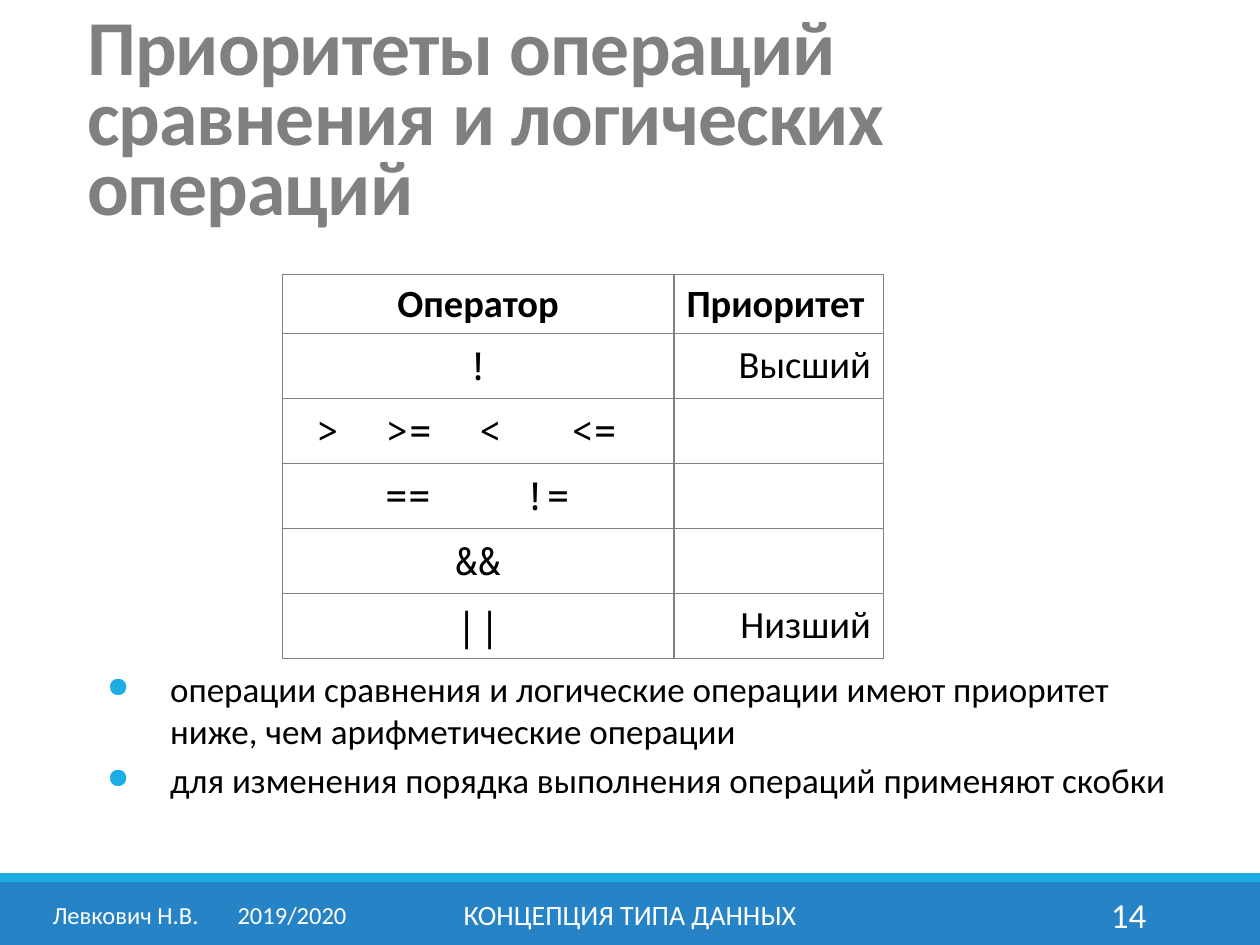
from dataclasses import dataclass

from lxml.etree import SubElement
from pptx import Presentation
from pptx.dml.color import RGBColor
from pptx.enum.shapes import MSO_SHAPE
from pptx.enum.text import MSO_ANCHOR, MSO_AUTO_SIZE, PP_ALIGN
from pptx.oxml.ns import qn
from pptx.util import Cm, Pt

BLUE = RGBColor(0x26, 0x83, 0xC6)
CYAN = RGBColor(0x1C, 0xAD, 0xE4)
GRAY = RGBColor(0x80, 0x80, 0x80)
WHITE = RGBColor(0xFF, 0xFF, 0xFF)
BLACK = RGBColor(0, 0, 0)
SANS, MONO = "Calibri", "Noto Sans Mono"
CELL_MARGIN = 0.25
MONO_ADVANCE = 0.466  # width of one 22 pt monospaced character, cm


@dataclass
class Priority:
    """One table row; stops are character columns of tabbed operators."""
    operators: str
    level: str = ""
    indent: float = 0
    stops: tuple[int, ...] = ()


@dataclass
class FooterItem:
    """One text in the footer bar."""
    text: str
    left: float
    width: float
    size: int
    align: PP_ALIGN
    stops: tuple[float, ...] = ()


PRIORITIES = [
    Priority("!", "Высший"),
    Priority(">\t>=\t<\t<=", indent=0.44, stops=(3, 7, 11)),
    Priority("==\t!=", indent=1.82, stops=(6,)),
    Priority("&&"),
    Priority("||", "Низший"),
]
RULES = [
    "операции сравнения и логические операции имеют приоритет ниже, "
    "чем арифметические операции",
    "для изменения порядка выполнения операций применяют скобки",
]
FOOTER = [
    FooterItem("КОНЦЕПЦИЯ ТИПА ДАННЫХ", 7.67, 10.06, 16, PP_ALIGN.CENTER),
    FooterItem("14", 20.62, 2.74, 20, PP_ALIGN.RIGHT),
    FooterItem("Левкович Н.В.\t2019/2020", 0.81, 6.63, 14, PP_ALIGN.LEFT, (3.73,)),
]


def write(paragraph, text: str, *, size: float, color=BLACK, font=SANS,
          bold=False, align=PP_ALIGN.LEFT, stops=()) -> None:
    """Write formatted text into a paragraph, with tab stops in cm."""
    paragraph.alignment = align
    if stops:
        tabs = SubElement(paragraph._p.get_or_add_pPr(), qn("a:tabLst"))
        for stop in stops:
            SubElement(tabs, qn("a:tab"), pos=str(Cm(stop)), algn="l")
    paragraph.text = text
    for run in paragraph.runs:
        run.font.name, run.font.size, run.font.bold = font, Pt(size), bold
        run.font.color.rgb = color


def add_bar(slide, top: float, height: float, color: RGBColor) -> None:
    """Draw a full-width bar."""
    bar = slide.shapes.add_shape(MSO_SHAPE.RECTANGLE, 0, Cm(top), Cm(25.4), Cm(height))
    bar.shadow.inherit = False
    bar.fill.solid()
    bar.fill.fore_color.rgb = color
    bar.line.fill.background()


def add_frame(slide, left: float, top: float, width: float, height: float):
    """Add a wrapping text box and return its text frame."""
    frame = slide.shapes.add_textbox(Cm(left), Cm(top), Cm(width), Cm(height)).text_frame
    frame.word_wrap = True
    return frame


def add_footer(slide) -> None:
    """Draw the footer bars and their texts."""
    add_bar(slide, 17.78, 1.27, BLUE)
    add_bar(slide, 17.6, 0.18, CYAN)
    for item in FOOTER:
        frame = add_frame(slide, item.left, 17.93, item.width, 1.02)
        frame.vertical_anchor = MSO_ANCHOR.MIDDLE
        write(frame.paragraphs[0], item.text, size=item.size, color=WHITE,
              align=item.align, stops=item.stops)


def format_title(slide) -> None:
    """Place and fill the title placeholder."""
    title = slide.shapes.title
    title.left, title.top, title.width, title.height = Cm(1.5), Cm(0.91), Cm(22.66), Cm(3.2)
    frame = title.text_frame
    frame.auto_size = MSO_AUTO_SIZE.NONE
    frame.vertical_anchor = MSO_ANCHOR.MIDDLE
    heading = frame.paragraphs[0]
    write(heading, "Приоритеты операций сравнения и логических операций",
          size=44.4, color=GRAY, bold=True)
    heading.line_spacing = 0.75
    heading.space_before = Pt(0)
    heading.runs[0].font._element.set("spc", "-50")


def fill_cell(cell, text: str, *, indent: float = 0, **style) -> None:
    """Give a cell its borders, fill and text."""
    properties = cell._tc.get_or_add_tcPr()
    for side in ("lnL", "lnR", "lnT", "lnB"):
        line = SubElement(properties, qn(f"a:{side}"), w=str(Pt(1)))
        solid = SubElement(line, qn("a:solidFill"))
        SubElement(solid, qn("a:srgbClr"), val=str(GRAY))
    cell.fill.solid()
    cell.fill.fore_color.rgb = WHITE
    cell.vertical_anchor = MSO_ANCHOR.MIDDLE
    cell.margin_left = Cm(CELL_MARGIN + indent)
    if text:
        write(cell.text_frame.paragraphs[0], text, size=22, **style)


def add_priorities(slide) -> None:
    """Build the operator priority table."""
    table = slide.shapes.add_table(len(PRIORITIES) + 1, 2, Cm(5.69), Cm(5.53),
                                   Cm(12.12), Cm(7.74)).table
    table.first_row = table.horz_banding = False
    table.columns[0].width, table.columns[1].width = Cm(7.9), Cm(4.22)
    table.rows[0].height = Cm(1.19)
    fill_cell(table.cell(0, 0), "Оператор", bold=True, align=PP_ALIGN.CENTER)
    fill_cell(table.cell(0, 1), "Приоритет", bold=True)
    for row, priority in enumerate(PRIORITIES, start=1):
        table.rows[row].height = Cm(1.31)
        align = PP_ALIGN.LEFT if priority.stops else PP_ALIGN.CENTER
        fill_cell(table.cell(row, 0), priority.operators, indent=priority.indent,
                  font=MONO, align=align,
                  stops=[stop * MONO_ADVANCE for stop in priority.stops])
        fill_cell(table.cell(row, 1), priority.level, align=PP_ALIGN.RIGHT)


def add_rules(slide) -> None:
    """Add the bulleted rules under the table."""
    frame = add_frame(slide, 1.91, 13.34, 22, 3.81)
    for index, rule in enumerate(RULES):
        paragraph = frame.add_paragraph() if index else frame.paragraphs[0]
        write(paragraph, rule, size=20)
        paragraph.space_before = Pt(4)
        properties = paragraph._p.get_or_add_pPr()
        properties.set("marL", str(Cm(1.27)))
        properties.set("indent", str(-Cm(1.27)))
        bullet_color = SubElement(properties, qn("a:buClr"))
        SubElement(bullet_color, qn("a:srgbClr"), val=str(CYAN))
        SubElement(properties, qn("a:buSzPct"), val="80000")
        SubElement(properties, qn("a:buChar"), char="●")


def main() -> None:
    """Build and save the slide."""
    deck = Presentation()
    deck.slide_width, deck.slide_height = Cm(25.4), Cm(19.05)
    slide = deck.slides.add_slide(deck.slide_layouts[5])
    add_footer(slide)
    format_title(slide)
    add_priorities(slide)
    add_rules(slide)
    deck.save("out.pptx")


main()
